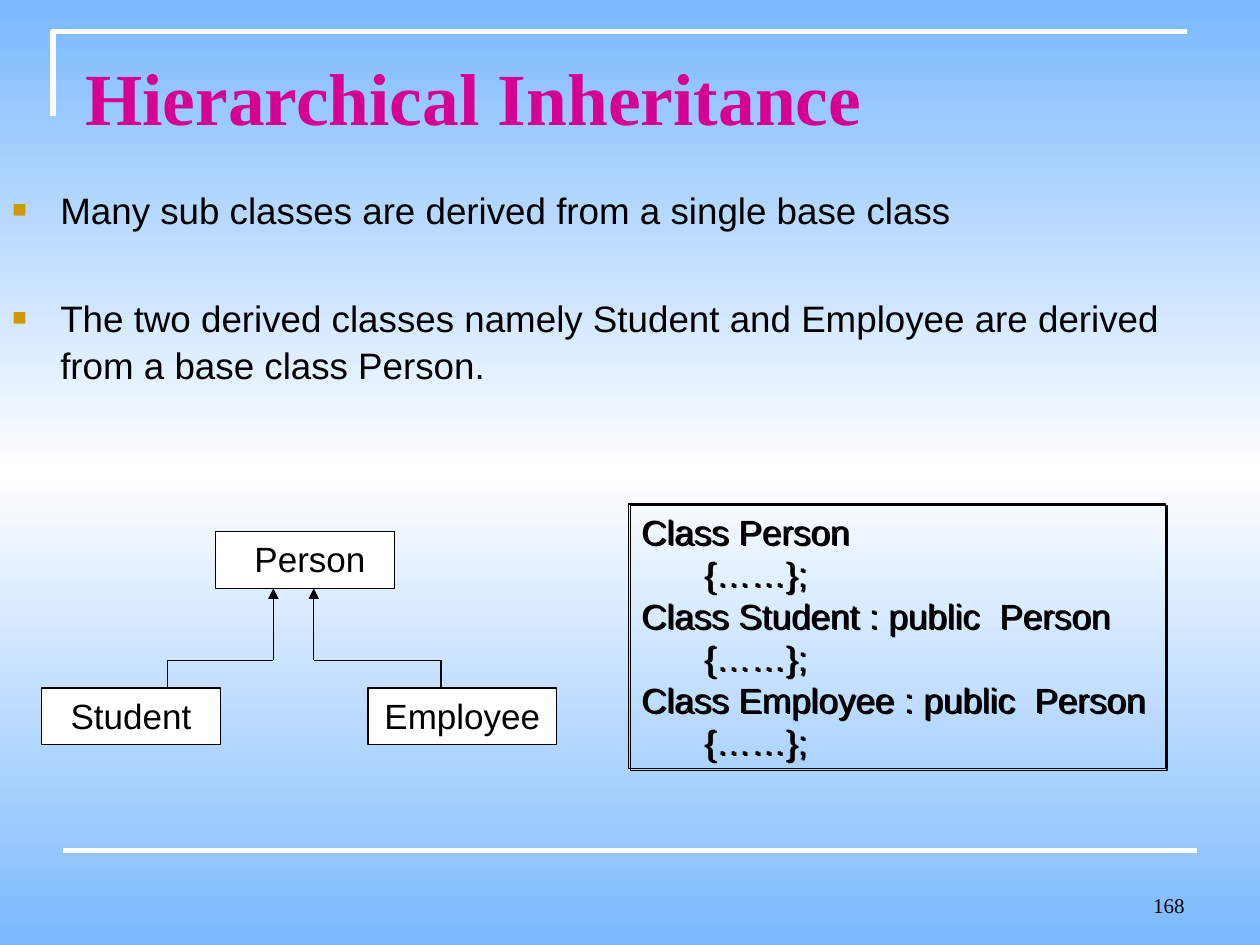
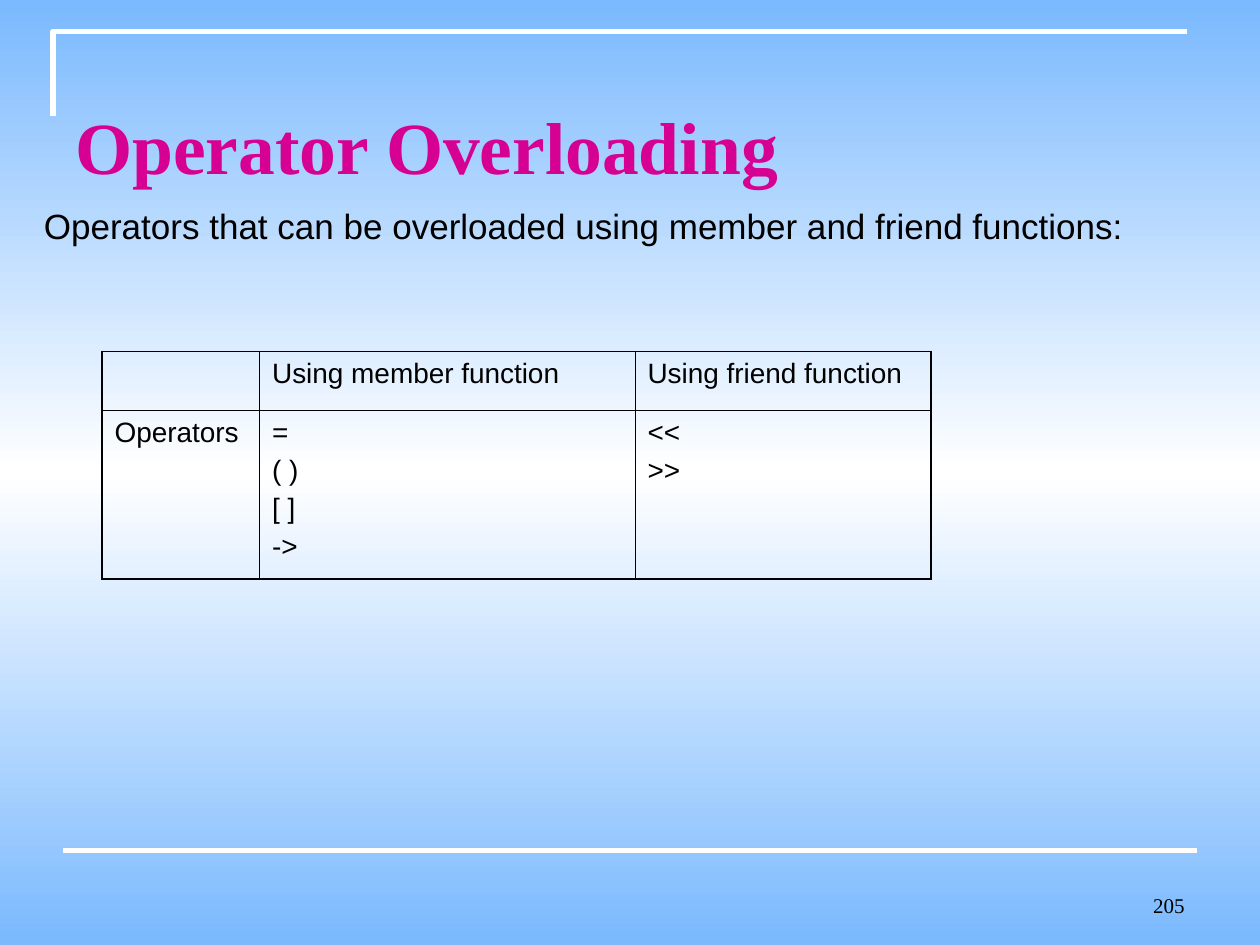
from dataclasses import dataclass
from lxml.etree import SubElement
from pptx import Presentation
from pptx.dml.color import RGBColor
from pptx.enum.shapes import MSO_CONNECTOR, MSO_SHAPE
from pptx.enum.text import MSO_ANCHOR, PP_ALIGN
from pptx.oxml import parse_xml
from pptx.oxml.ns import nsdecls, qn
from pptx.util import Inches, Pt


@dataclass(frozen=True)
class Theme:
    sky: str = "7AB9FE"
    white: RGBColor = RGBColor(255, 255, 255)
    black: RGBColor = RGBColor(0, 0, 0)
    pink: RGBColor = RGBColor(0xD6, 0x00, 0x93)
    gold: str = "CC9900"
    sans: str = "Arial"
    serif: str = "Times New Roman"
    head: Pt = Pt(42)
    list: Pt = Pt(21)
    body: Pt = Pt(20)
    cell: Pt = Pt(16)
    foot: Pt = Pt(12)
    band: Pt = Pt(3)
    thin: Pt = Pt(0.75)


look = Theme()


def write(frame, lines, size, face=look.sans, tint=look.black, bold=False, gap=0, form=None, **para):
    for name, value in {"word_wrap": True, **(form or {})}.items():
        setattr(frame, name, value)
    for num, line in enumerate(lines):
        item = frame.add_paragraph() if num else frame.paragraphs[0]
        item.add_run().text = line
        if num:
            item.space_before = Pt(gap)
        for name, value in para.items():
            setattr(item, name, value)
        font = item.runs[0].font
        for name, value in {"name": face, "size": size, "bold": bold}.items():
            setattr(font, name, value)
        font.color.rgb = tint


def link(slide, ends, tint=look.black, width=look.thin, arrow=False):
    line = slide.shapes.add_connector(MSO_CONNECTOR.STRAIGHT, *map(Inches, ends))
    line.line.color.rgb = tint
    line.line.width = width
    if arrow:
        SubElement(line.line._get_or_add_ln(), qn("a:tailEnd"), type="triangle")
    SubElement(line._element.spPr, qn("a:effectLst"))


deck = Presentation()
deck.slide_width, deck.slide_height = Inches(10), Inches(7.5)

pages = [
    ("Hierarchical Inheritance", (0.58, 0.33, 8.75, 0.87), MSO_ANCHOR.MIDDLE, "168"),
    ("Operator Overloading", (0.5, 0.3, 9, 1.25), MSO_ANCHOR.BOTTOM, "205"),
]
slides = []
for title, area, hold, num in pages:
    slide = deck.slides.add_slide(deck.slide_layouts[6])
    slides.append(slide)
    stops = "".join(
        f'<a:gs pos="{spot}"><a:srgbClr val="{tint}"/></a:gs>'
        for spot, tint in ((0, look.sky), (50000, look.white), (100000, look.sky))
    )
    slide._element.cSld.insert(0, parse_xml(
        f'<p:bg {nsdecls("p", "a")}><p:bgPr><a:gradFill rotWithShape="0"><a:gsLst>{stops}</a:gsLst>'
        '<a:lin ang="5400000" scaled="1"/></a:gradFill><a:effectLst/></p:bgPr></p:bg>'
    ))
    path = slide.shapes.build_freeform(Inches(0.42), Inches(0.92))
    path.add_line_segments([(Inches(0.42), Inches(0.25)), (Inches(9.42), Inches(0.25))], close=False)
    frame = path.convert_to_shape()
    frame.fill.background()
    frame.line.color.rgb = look.white
    frame.line.width = look.band
    frame.shadow.inherit = False
    link(slide, (0.5, 6.75, 9.5, 6.75), look.white, look.band)
    foot = slide.shapes.add_textbox(*map(Inches, (7.17, 6.83, 2.33, 0.5)))
    write(foot.text_frame, [num], look.foot, look.serif,
          form={"vertical_anchor": MSO_ANCHOR.BOTTOM}, alignment=PP_ALIGN.RIGHT)
    head = slide.shapes.add_textbox(*map(Inches, area))
    write(head.text_frame, [title], look.head, look.serif, look.pink, True,
          form={"vertical_anchor": hold})

tree, grid = slides

points = tree.shapes.add_textbox(*map(Inches, (0, 1.42, 9.58, 5.33))).text_frame
write(points, [
    "Many sub classes are derived from a single base class",
    "The two derived classes namely Student and Employee are derived from a base class Person.",
], look.list, gap=35, line_spacing=1.06)
for item in points.paragraphs:
    prop = item._p.get_or_add_pPr()
    prop.set("marL", str(Inches(0.38)))
    prop.set("indent", str(-Inches(0.38)))
    SubElement(SubElement(prop, qn("a:buClr")), qn("a:srgbClr"), val=look.gold)
    SubElement(prop, qn("a:buSzPct"), val="65000")
    SubElement(prop, qn("a:buFont"), typeface=look.sans)
    SubElement(prop, qn("a:buChar"), char="■")

for name, left, top, wide, inset in (
    ("Person", 1.71, 4.22, 1.42, 0.18),
    ("Student", 0.33, 5.46, 1.42, 0.1),
    ("Employee", 2.92, 5.46, 1.5, 0.1),
):
    box = tree.shapes.add_shape(MSO_SHAPE.RECTANGLE, *map(Inches, (left, top, wide, 0.45)))
    box.fill.solid()
    box.fill.fore_color.rgb = look.white
    box.line.color.rgb = look.black
    box.line.width = look.thin
    box.shadow.inherit = False
    write(box.text_frame, [name], look.body, alignment=PP_ALIGN.CENTER,
          form={"vertical_anchor": MSO_ANCHOR.TOP, "margin_left": Inches(inset)})

for inner, outer in ((2.17, 1.33), (2.49, 3.5)):
    link(tree, (inner, 5.24, inner, 4.67), arrow=True)
    link(tree, (inner, 5.24, outer, 5.24))
    link(tree, (outer, 5.24, outer, 5.46))

code = tree.shapes.add_shape(MSO_SHAPE.RECTANGLE, *map(Inches, (4.99, 4, 4.26, 2.1)))
code.fill.background()
code.line.color.rgb = look.black
code.line.width = look.thin
code._element.spPr.append(parse_xml(
    f'<a:effectLst {nsdecls("a")}><a:outerShdw dist="{Pt(1.4)}" dir="2700000" algn="ctr" rotWithShape="0">'
    f'<a:srgbClr val="{look.black}"/></a:outerShdw></a:effectLst>'
))
lines = []
for name in ("Person", "Student : public  Person", "Employee : public  Person"):
    lines += [f"Class {name}", "\t{……};"]
write(code.text_frame, lines, look.body, alignment=PP_ALIGN.LEFT,
      form={"vertical_anchor": MSO_ANCHOR.MIDDLE})

rows = [
    [[], ["Using member function"], ["Using friend function"]],
    [["Operators"], ["=", "( )", "[ ]", "->"], ["<<", ">>"]],
]
table = grid.shapes.add_table(2, 3, *map(Inches, (0.81, 2.79, 6.58, 1.8))).table
table.first_row = table.horz_banding = False
for col, wide in zip(table.columns, (1.25, 2.98, 2.35)):
    col.width = Inches(wide)
for row, high in zip(table.rows, (0.47, 1.33)):
    row.height = Inches(high)
for down, row in enumerate(rows):
    for across, lines in enumerate(row):
        cell = table.cell(down, across)
        prop = cell._tc.get_or_add_tcPr()
        edges = {"L": across == 0, "R": across == 2, "T": down == 0, "B": down == 1}
        for side, outer in edges.items():
            rule = SubElement(prop, qn(f"a:ln{side}"), w=str(Pt(1.08 if outer else 0.45)))
            SubElement(SubElement(rule, qn("a:solidFill")), qn("a:srgbClr"), val=str(look.black))
        cell.fill.background()
        write(cell.text_frame, lines, look.cell, gap=4)

intro = grid.shapes.add_textbox(*map(Inches, (0.25, 1.57, 9.17, 0.44)))
write(intro.text_frame, ["Operators that can be overloaded using member and friend functions:"],
      look.body, alignment=PP_ALIGN.JUSTIFY)

deck.save("out.pptx")
